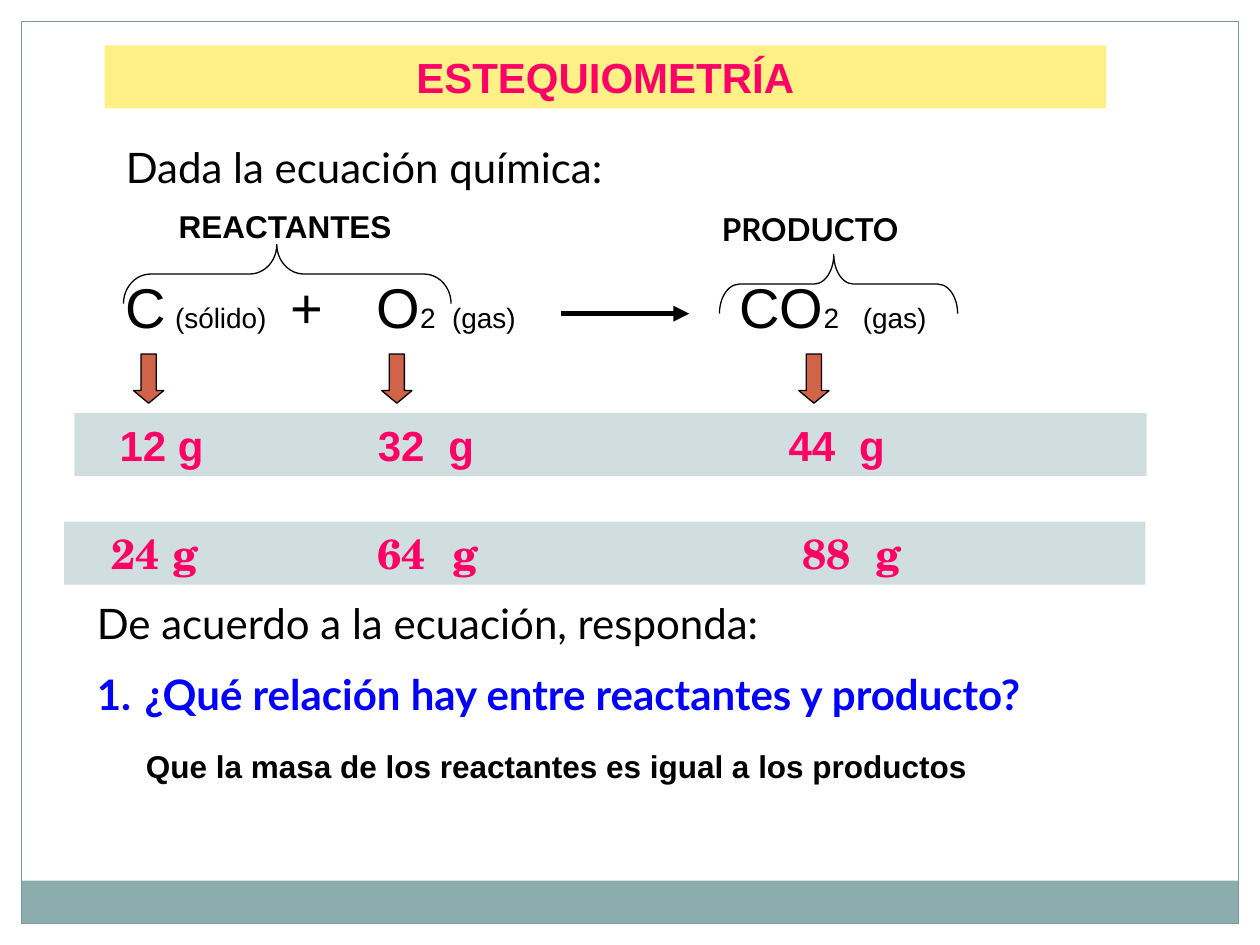
from pptx import Presentation
from pptx import util as u
from pptx.dml.color import RGBColor
from pptx.enum import shapes, text
from pptx.oxml.ns import qn
from lxml import etree

Inches, Pt = u.Inches, u.Pt
BLACK = RGBColor(0, 0, 0)
PINK = RGBColor(0xFF, 0x00, 0x66)
BLUE = RGBColor(0x00, 0x00, 0xFF)
YELLOW = RGBColor(0xFF, 0xF1, 0x85)
PALE_TEAL = RGBColor(0xD1, 0xDE, 0xDF)
TEAL = RGBColor(0x8C, 0xAD, 0xAE)
FRAME_TEAL = RGBColor(0x7C, 0x99, 0x9A)
RUST = RGBColor(0xD1, 0x63, 0x49)
SHAPE = shapes.MSO_SHAPE
ALIGN = text.PP_ALIGN


def write(frame, runs, size=24, font="Arial", color=BLACK, bold=False, align=ALIGN.LEFT,
          before=0, tabs=(), indent=0, hanging=0, numbered=False):
    """Write a paragraph of a string, or of (text, size) pairs, in the given format."""
    paragraph = frame.paragraphs[0]
    if paragraph.runs:
        paragraph = frame.add_paragraph()
    properties = paragraph._p.get_or_add_pPr()
    if indent:
        properties.set("marL", str(Inches(indent)))
        properties.set("indent", str(-Inches(hanging)))
    if numbered:
        etree.SubElement(properties, qn("a:buAutoNum"), type="arabicPeriod")
    if tabs:
        tab_list = etree.SubElement(properties, qn("a:tabLst"))
        for position in tabs:
            etree.SubElement(tab_list, qn("a:tab"), pos=str(Inches(position)), algn="l")
    paragraph.alignment = align
    paragraph.space_before = Pt(before)
    for words, points in [(runs, size)] if isinstance(runs, str) else runs:
        run = paragraph.add_run()
        run.text = words
        run.font.size = Pt(points)
        run.font.name = font
        run.font.bold = bold
        run.font.color.rgb = color


def add_text_box(slide, left, top, width, height):
    """Add a wrapping text box and return its text frame."""
    box = slide.shapes.add_textbox(Inches(left), Inches(top), Inches(width), Inches(height))
    box.text_frame.word_wrap = True
    return box.text_frame


def add_shape(slide, kind, left, top, width, height, fill=None, line=None):
    """Add a preset shape with an optional fill and thin outline."""
    shape = slide.shapes.add_shape(kind, Inches(left), Inches(top), Inches(width), Inches(height))
    shape.shadow.inherit = False
    if fill is None:
        shape.fill.background()
    else:
        shape.fill.solid()
        shape.fill.fore_color.rgb = fill
    if line is None:
        shape.line.fill.background()
    else:
        shape.line.color.rgb = line
        shape.line.width = Pt(0.75)
    return shape


def add_frame(slide, left, top, width, height):
    """Draw the page frame with the band along its foot."""
    band = 0.34
    add_shape(slide, SHAPE.RECTANGLE, left, top + height - band, width, band, fill=TEAL)
    add_shape(slide, SHAPE.RECTANGLE, left, top, width, height, line=FRAME_TEAL)


def add_title(slide, left, top, width, height):
    """Place and format the title on its yellow band."""
    title = slide.shapes.title
    title.left, title.top = Inches(left), Inches(top)
    title.width, title.height = Inches(width), Inches(height)
    title.fill.solid()
    title.fill.fore_color.rgb = YELLOW
    title.text_frame.vertical_anchor = text.MSO_ANCHOR.MIDDLE
    title.text_frame.auto_size = text.MSO_AUTO_SIZE.NONE
    write(title.text_frame, "ESTEQUIOMETRÍA", color=PINK, bold=True, align=ALIGN.CENTER)


def add_brace(slide, left, top, width, height, curve, point):
    """Draw a brace that opens downward and fills the given box."""
    brace = add_shape(slide, SHAPE.LEFT_BRACE, left + (width - height) / 2,
                      top + (height - width) / 2, height, width, line=BLACK)
    brace.rotation = 90
    brace.adjustments[0] = curve
    brace.adjustments[1] = point


def add_reaction_arrow(slide, left, top, length):
    """Draw the arrow from the reactants to the product."""
    arrow = slide.shapes.add_connector(shapes.MSO_CONNECTOR.STRAIGHT, Inches(left), Inches(top),
                                       Inches(left + length), Inches(top))
    arrow.line.color.rgb = BLACK
    arrow.line.width = Pt(3)
    etree.SubElement(arrow.line._get_or_add_ln(), qn("a:tailEnd"), type="triangle")
    etree.SubElement(arrow._element.spPr, qn("a:effectLst"))


def add_equation(slide, left, top, width, height):
    """Write the chemical equation with its braces, labels and arrows."""
    frame = add_text_box(slide, left, top, width, height)
    write(frame, "Dada la ecuación química:", font="Lato")
    write(frame, "REACTANTES", size=18, bold=True, before=9, indent=0.42)
    write(frame, [("C", 32), (" ", 18), ("(sólido)", 16), ("\t+\tO", 32), ("2\t(gas)", 16),
                  ("\tCO", 32), ("2\t(gas)", 16)],
          before=16, tabs=(1.31, 1.99, 2.59, 4.87, 5.85))
    add_reaction_arrow(slide, left + 3.55, top + 1.42, 1.02)
    add_brace(slide, left + 0.08, top + 0.87, 2.6, 0.47, 0.459, 0.532)
    product = add_text_box(slide, left + 4.73, top + 0.55, 2.28, 0.4)
    write(product, "PRODUCTO", size=18, font="Lato", bold=True)
    add_brace(slide, left + 4.81, top + 0.95, 1.89, 0.47, 0.334, 0.52)
    for offset in (0.16, 2.13, 5.44):
        arrow = add_shape(slide, SHAPE.DOWN_ARROW, left + offset, top + 1.74, 0.24, 0.39,
                          fill=RUST, line=BLACK)
        arrow.adjustments[1] = 0.415


def add_mass_row(slide, left, top, width, height, masses, tabs, font):
    """Draw a band with the masses of both reactants and the product."""
    band = add_shape(slide, SHAPE.RECTANGLE, left, top, width, height, fill=PALE_TEAL)
    first, second, third = masses
    write(band.text_frame, f"\t{first} g\t{second}\tg\t{third}\tg", font=font, color=PINK,
          bold=True, tabs=tabs)


def add_question(slide, left, top, width, height):
    """Write the numbered question and the answer below it."""
    frame = add_text_box(slide, left, top, width, height)
    write(frame, "De acuerdo a la ecuación, responda:", font="Lato", indent=0.38, hanging=0.38)
    write(frame, "¿Qué relación hay entre reactantes y producto?", font="Lato", color=BLUE,
          bold=True, before=12, indent=0.38, hanging=0.38, numbered=True)
    answer = add_text_box(slide, left + 0.39, top + 1.19, width - 0.4, 0.4)
    write(answer, "Que la masa de los reactantes es igual a los productos", size=18, bold=True)


def main():
    """Build and save the slide."""
    presentation = Presentation()
    presentation.slide_width, presentation.slide_height = Inches(10), Inches(7.5)
    slide = presentation.slides.add_slide(presentation.slide_layouts[5])
    add_frame(slide, 0.17, 0.17, 9.66, 7.16)
    add_title(slide, 0.83, 0.36, 7.95, 0.5)
    add_equation(slide, 0.9, 1.07, 7.48, 1.75)
    add_mass_row(slide, 0.59, 3.28, 8.51, 0.5, (12, 32, 44),
                 (0.26, 2.31, 2.87, 5.57, 6.13), "Arial")
    add_mass_row(slide, 0.51, 4.14, 8.58, 0.5, (24, 64, 88),
                 (0.28, 2.39, 2.98, 5.76, 6.34), "TeX Gyre Schola")
    add_question(slide, 0.67, 4.69, 8.98, 1.1)
    presentation.save("out.pptx")


if __name__ == "__main__":
    main()
